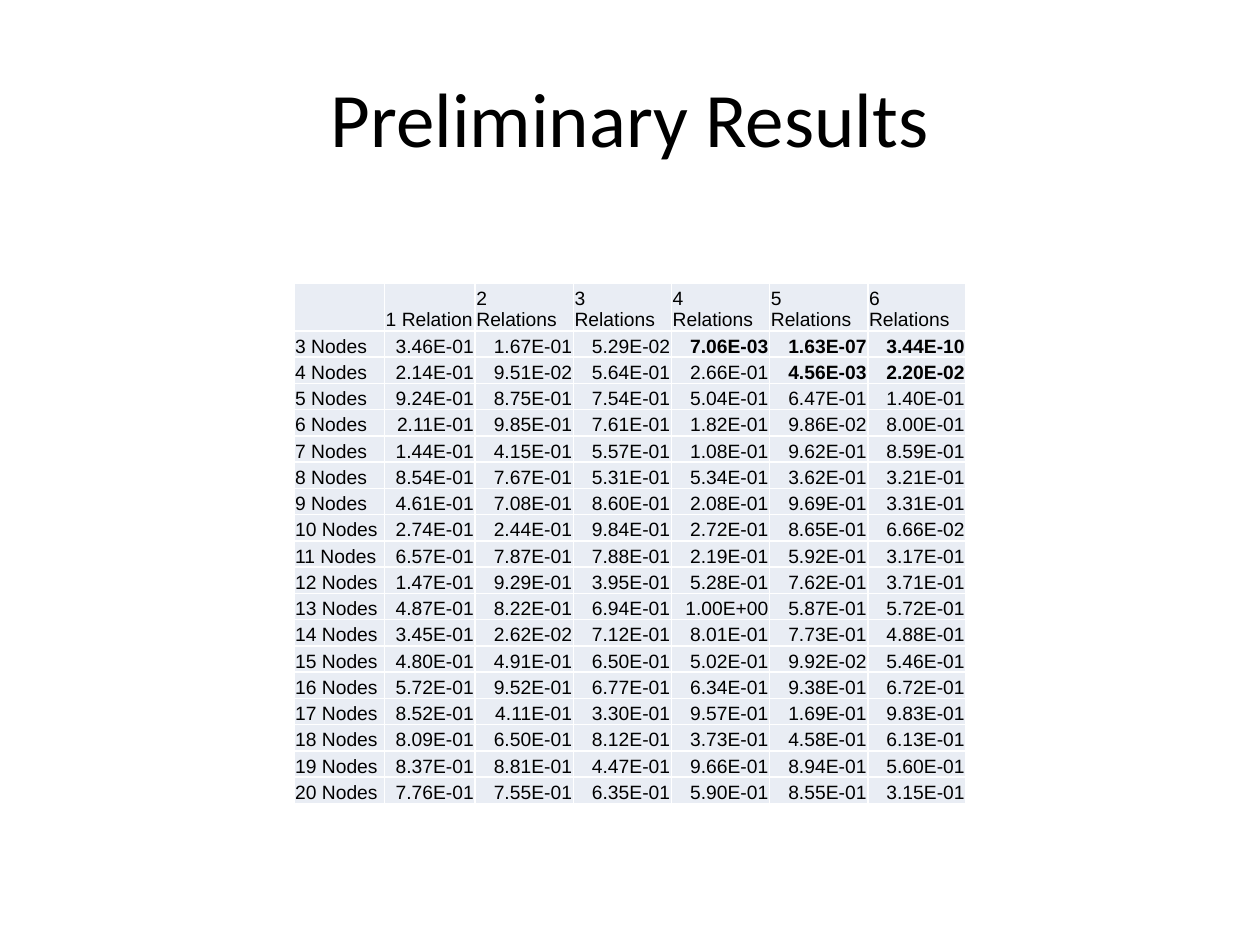
from lxml.etree import SubElement
from pptx import Presentation
from pptx.dml.color import RGBColor
from pptx.enum.text import MSO_ANCHOR, PP_ALIGN
from pptx.oxml.ns import qn
from pptx.util import Pt

# Content: one row per node count, one column per relation count
TITLE = "Preliminary Results"
HEADERS = ["", "1 Relation"] + [f"{count} Relations" for count in range(2, 7)]
FIRST_NODE_COUNT = 3
RESULTS = [
    "3.46E-01 1.67E-01 5.29E-02 7.06E-03 1.63E-07 3.44E-10",
    "2.14E-01 9.51E-02 5.64E-01 2.66E-01 4.56E-03 2.20E-02",
    "9.24E-01 8.75E-01 7.54E-01 5.04E-01 6.47E-01 1.40E-01",
    "2.11E-01 9.85E-01 7.61E-01 1.82E-01 9.86E-02 8.00E-01",
    "1.44E-01 4.15E-01 5.57E-01 1.08E-01 9.62E-01 8.59E-01",
    "8.54E-01 7.67E-01 5.31E-01 5.34E-01 3.62E-01 3.21E-01",
    "4.61E-01 7.08E-01 8.60E-01 2.08E-01 9.69E-01 3.31E-01",
    "2.74E-01 2.44E-01 9.84E-01 2.72E-01 8.65E-01 6.66E-02",
    "6.57E-01 7.87E-01 7.88E-01 2.19E-01 5.92E-01 3.17E-01",
    "1.47E-01 9.29E-01 3.95E-01 5.28E-01 7.62E-01 3.71E-01",
    "4.87E-01 8.22E-01 6.94E-01 1.00E+00 5.87E-01 5.72E-01",
    "3.45E-01 2.62E-02 7.12E-01 8.01E-01 7.73E-01 4.88E-01",
    "4.80E-01 4.91E-01 6.50E-01 5.02E-01 9.92E-02 5.46E-01",
    "5.72E-01 9.52E-01 6.77E-01 6.34E-01 9.38E-01 6.72E-01",
    "8.52E-01 4.11E-01 3.30E-01 9.57E-01 1.69E-01 9.83E-01",
    "8.09E-01 6.50E-01 8.12E-01 3.73E-01 4.58E-01 6.13E-01",
    "8.37E-01 8.81E-01 4.47E-01 9.66E-01 8.94E-01 5.60E-01",
    "7.76E-01 7.55E-01 6.35E-01 5.90E-01 8.55E-01 3.15E-01",
]
BOLD_CELLS = {(1, 4), (1, 5), (1, 6), (2, 5), (2, 6)}  # (row, column)

# Layout and formats
SLIDE_WIDTH, SLIDE_HEIGHT = 720, 540
TITLE_BOX = (36, 21.6, 648, 90)
TABLE_TOP, ROW_HEIGHT = 162, 15
COLUMN_WIDTHS = [51.8] * 2 + [56.1] * 5
CELL_FILL, BORDER_COLOR, TEXT_COLOR = "E9EDF4", "FFFFFF", "000000"
TITLE_FONT = {"name": "Calibri", "size": Pt(44)}
CELL_FONT = {"name": "Arial", "size": Pt(11)}
CELL_FORMAT = {
    "margin_left": Pt(0.7), "margin_right": Pt(0.7), "margin_top": Pt(0.7),
    "margin_bottom": Pt(0), "vertical_anchor": MSO_ANCHOR.BOTTOM,
}


def color(hex_string):
    return RGBColor.from_string(hex_string)


def set_attributes(target, values):
    for name, value in values.items():
        setattr(target, name, value)


def write_text(text_frame, text, font, alignment, bold=False):
    paragraph = text_frame.paragraphs[0]
    paragraph.alignment = alignment
    run = paragraph.add_run()
    run.text = text
    set_attributes(run.font, {**font, "bold": bold})
    run.font.color.rgb = color(TEXT_COLOR)


def format_cell(cell):
    set_attributes(cell, CELL_FORMAT)
    properties = cell._tc.get_or_add_tcPr()
    for side in ("a:lnL", "a:lnR", "a:lnT", "a:lnB"):
        line = SubElement(properties, qn(side), w=str(Pt(1)))
        line_fill = SubElement(line, qn("a:solidFill"))
        SubElement(line_fill, qn("a:srgbClr"), val=BORDER_COLOR)
    cell.fill.solid()
    cell.fill.fore_color.rgb = color(CELL_FILL)


def add_title(slide):
    text_frame = slide.shapes.add_textbox(*map(Pt, TITLE_BOX)).text_frame
    set_attributes(text_frame, {"word_wrap": True, "vertical_anchor": MSO_ANCHOR.MIDDLE})
    write_text(text_frame, TITLE, TITLE_FONT, PP_ALIGN.CENTER)


def add_results_table(slide):
    rows = [HEADERS] + [
        [f"{count} Nodes"] + values.split()
        for count, values in enumerate(RESULTS, FIRST_NODE_COUNT)
    ]
    width = sum(COLUMN_WIDTHS)
    table = slide.shapes.add_table(
        len(rows), len(HEADERS), Pt((SLIDE_WIDTH - width) / 2), Pt(TABLE_TOP),
        Pt(width), Pt(ROW_HEIGHT * len(rows)),
    ).table
    set_attributes(table, {"first_row": False, "horz_banding": False})
    for column, column_width in zip(table.columns, COLUMN_WIDTHS):
        column.width = Pt(column_width)
    for row_index, row in enumerate(rows):
        table.rows[row_index].height = Pt(ROW_HEIGHT)
        for column_index, text in enumerate(row):
            cell = table.cell(row_index, column_index)
            format_cell(cell)
            is_value = row_index > 0 and column_index > 0
            write_text(
                cell.text_frame, text, CELL_FONT,
                PP_ALIGN.RIGHT if is_value else PP_ALIGN.LEFT,
                (row_index, column_index) in BOLD_CELLS,
            )


def main():
    presentation = Presentation()
    presentation.slide_width = Pt(SLIDE_WIDTH)
    presentation.slide_height = Pt(SLIDE_HEIGHT)
    slide = presentation.slides.add_slide(presentation.slide_layouts[6])
    add_title(slide)
    add_results_table(slide)
    presentation.save("out.pptx")


if __name__ == "__main__":
    main()
